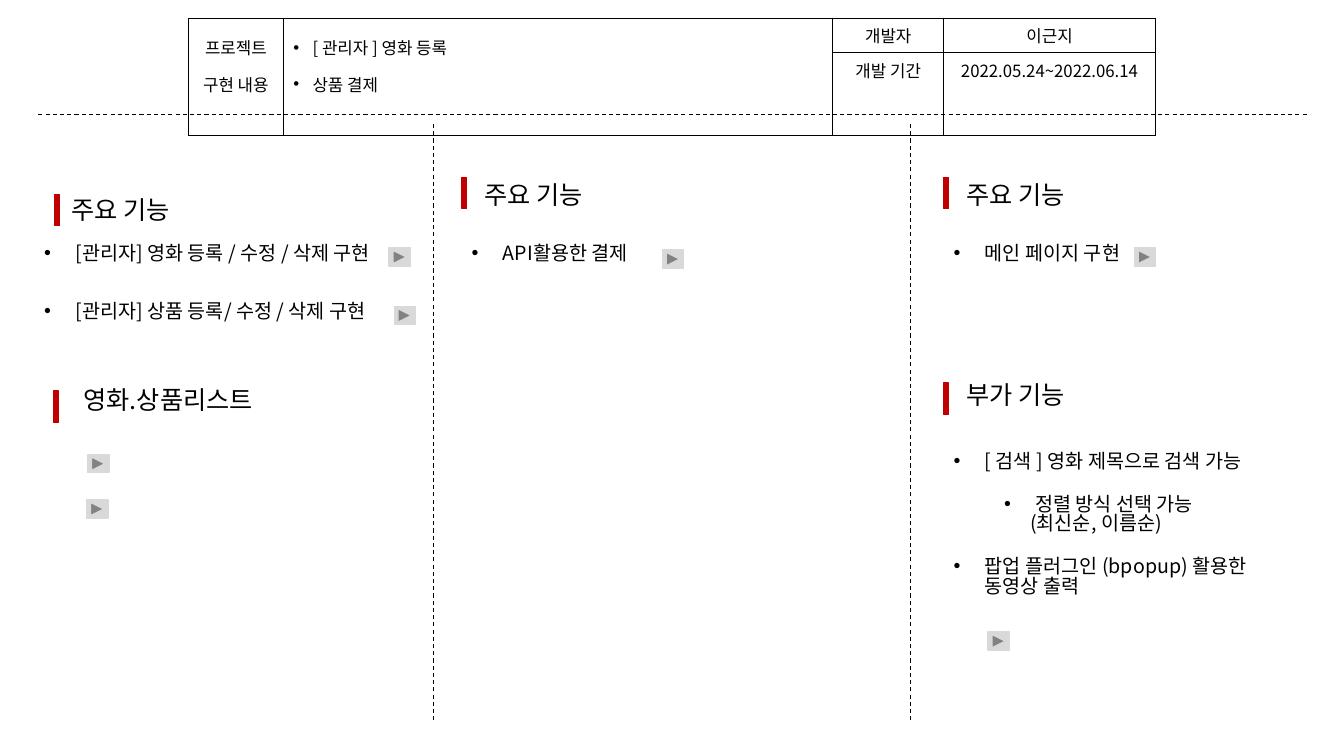
from dataclasses import dataclass

from lxml import etree
from pptx import Presentation
from pptx import util as u
from pptx.dml.color import RGBColor
from pptx.enum import dml, shapes, text
from pptx.oxml import ns

COLORS = {"ink": "000000", "accent": "C00000", "button": "D9D9D9"}
FONT = "Noto Sans CJK KR"


@dataclass
class Item:
    words: str
    bullet: bool = True
    indent: float = 0.31
    hang: float = 0.31
    before: float = 0


@dataclass
class TextBlock:
    left: float
    top: float
    width: float
    height: float
    size: float
    spacing: float
    items: list[Item]


@dataclass
class Mark:
    left: float
    top: float
    width: float
    height: float
    kind: shapes.MSO_SHAPE
    color: str


@dataclass
class Rule:
    x1: float
    y1: float
    x2: float
    y2: float


@dataclass
class Cell:
    row: int
    column: int
    items: list[Item]
    align: text.PP_ALIGN = text.PP_ALIGN.CENTER
    spacing: float = 1.0


def plain(words: str) -> Item:
    return Item(words, bullet=False, indent=0, hang=0)


def heading(left: float, top: float, words: str) -> TextBlock:
    return TextBlock(left, top, 2.23, 0.4, 18, 0.9, [plain(words)])


def body(left: float, top: float, items: list[Item], height: float = 0.34) -> TextBlock:
    return TextBlock(left, top, 3.68, height, 14, 0.83, items)


def bar(left: float, top: float) -> Mark:
    return Mark(left, top, 0.05, 0.31, shapes.MSO_SHAPE.RECTANGLE, "accent")


def button(left: float, top: float) -> Mark:
    kind = shapes.MSO_SHAPE.ACTION_BUTTON_FORWARD_OR_NEXT
    return Mark(left, top, 0.21, 0.18, kind, "button")


def rgb(name: str) -> RGBColor:
    return RGBColor.from_string(COLORS[name])


def add_child(parent, tag: str, **attributes: str):
    return etree.SubElement(parent, ns.qn(tag), attributes)


def write_items(frame, items: list[Item], size: float, spacing: float, align) -> None:
    for index, item in enumerate(items):
        para = frame.add_paragraph() if index else frame.paragraphs[0]
        props = para._p.get_or_add_pPr()
        props.set("marL", str(u.Inches(item.indent)))
        props.set("indent", str(u.Inches(-item.hang)))
        if item.bullet:
            add_child(props, "a:buFont", typeface="Arial")
            add_child(props, "a:buChar", char="•")
        formats = {"alignment": align, "line_spacing": spacing}
        if item.before:
            formats["space_before"] = u.Pt(item.before)
        for name, value in formats.items():
            setattr(para, name, value)
        span = para.add_run()
        span.text = item.words
        for name, value in {"size": u.Pt(size), "name": FONT}.items():
            setattr(span.font, name, value)
        span.font.color.rgb = rgb("ink")
        add_child(span._r.get_or_add_rPr(), "a:ea", typeface=FONT)


def draw_text(page, block: TextBlock) -> None:
    box = page.shapes.add_textbox(
        *map(u.Inches, (block.left, block.top, block.width, block.height)))
    formats = {"word_wrap": True, "auto_size": text.MSO_AUTO_SIZE.SHAPE_TO_FIT_TEXT}
    for name, value in formats.items():
        setattr(box.text_frame, name, value)
    write_items(box.text_frame, block.items, block.size, block.spacing, text.PP_ALIGN.LEFT)


def draw_mark(page, mark: Mark) -> None:
    shape = page.shapes.add_shape(
        mark.kind, *map(u.Inches, (mark.left, mark.top, mark.width, mark.height)))
    shape.shadow.inherit = False
    shape.fill.solid()
    shape.fill.fore_color.rgb = rgb(mark.color)
    shape.line.color.rgb = rgb(mark.color)
    shape.line.width = u.Pt(1)


def draw_rule(page, rule: Rule) -> None:
    line = page.shapes.add_connector(
        shapes.MSO_CONNECTOR.STRAIGHT,
        *map(u.Inches, (rule.x1, rule.y1, rule.x2, rule.y2)))
    line.line.color.rgb = rgb("ink")
    line.line.width = u.Pt(0.75)
    line.line.dash_style = dml.MSO_LINE.DASH
    add_child(line._element.spPr, "a:effectLst")


def draw_table(page, widths: list[float], heights: list[float], cells: list[Cell]) -> None:
    table = page.shapes.add_table(
        len(heights), len(widths), u.Inches(1.87), u.Inches(0.18),
        u.Inches(sum(widths)), u.Inches(sum(heights))).table
    for name in ("first_row", "horz_banding"):
        setattr(table, name, False)
    for column, width in zip(table.columns, widths):
        column.width = u.Inches(width)
    for row, height in zip(table.rows, heights):
        row.height = u.Inches(height)
    for cell in table.iter_cells():
        props = cell._tc.get_or_add_tcPr()
        for side in ("L", "R", "T", "B"):
            border = add_child(props, f"a:ln{side}", w=str(u.Pt(1)))
            add_child(add_child(border, "a:solidFill"), "a:srgbClr", val=COLORS["ink"])
        cell.fill.background()
    for column in (0, 1):
        table.cell(0, column).merge(table.cell(1, column))
    for entry in cells:
        frame = table.cell(entry.row, entry.column).text_frame
        write_items(frame, entry.items, 12, entry.spacing, entry.align)


# Header table
CELLS = [
    Cell(0, 0, [plain("프로젝트"), plain("구현 내용")], spacing=1.5),
    Cell(0, 1, [Item(words, indent=0.19, hang=0.19)
                for words in ("[ 관리자 ] 영화 등록", "상품 결제")],
         text.PP_ALIGN.LEFT, 1.5),
    Cell(0, 2, [plain("개발자")]),
    Cell(0, 3, [plain("이근지")]),
    Cell(1, 2, [plain("개발 기간")]),
    Cell(1, 3, [plain("2022.05.24~2022.06.14")]),
]

# Dashed dividers
RULES = [Rule(0.38, 1.14, 12.97, 1.14)] + [Rule(x, 1.23, x, 7.16) for x in (4.3, 9.03)]

# Headings and lists of the three columns
BLOCKS = [
    heading(0.61, 1.91, "주요 기능"),
    body(0.34, 2.38, [Item("[관리자] 영화 등록 / 수정 / 삭제 구현")]),
    body(0.34, 2.96, [Item("[관리자] 상품 등록/ 수정 / 삭제 구현")]),
    heading(0.73, 3.8, "영화.상품리스트"),
    heading(4.71, 1.76, "주요 기능"),
    body(4.58, 2.38, [Item("API활용한 결제")]),
    heading(9.49, 1.76, "주요 기능"),
    body(9.36, 2.38, [Item("메인 페이지 구현")]),
    heading(9.49, 3.75, "부가 기능"),
    body(9.36, 4.44, [
        Item("[ 검색 ] 영화 제목으로 검색 가능"),
        Item("정렬 방식 선택 가능", indent=0.81, before=16.8),
        Item("(최신순, 이름순)", bullet=False, indent=0.76, hang=0),
        Item("팝업 플러그인 (bpopup) 활용한 동영상 출력", before=16.8),
    ], 1.75),
]

# Red heading bars and play buttons
MARKS = [bar(*spot) for spot in (
    (0.54, 1.93), (0.53, 3.88), (4.58, 1.76), (9.36, 1.76), (9.36, 3.8))]
MARKS += [button(*spot) for spot in (
    (3.86, 2.46), (3.91, 3.04), (0.87, 4.51), (0.86, 4.96),
    (6.57, 2.48), (11.25, 2.46), (9.8, 6.27))]


def main() -> None:
    deck = Presentation()
    deck.slide_width, deck.slide_height = u.Inches(13.33), u.Inches(7.5)
    page = deck.slides.add_slide(deck.slide_layouts[6])
    draw_table(page, [0.94, 5.45, 1.1, 2.1], [0.22, 0.51], CELLS)
    for rule in RULES:
        draw_rule(page, rule)
    for block in BLOCKS:
        draw_text(page, block)
    for mark in MARKS:
        draw_mark(page, mark)
    deck.save("out.pptx")


if __name__ == "__main__":
    main()
